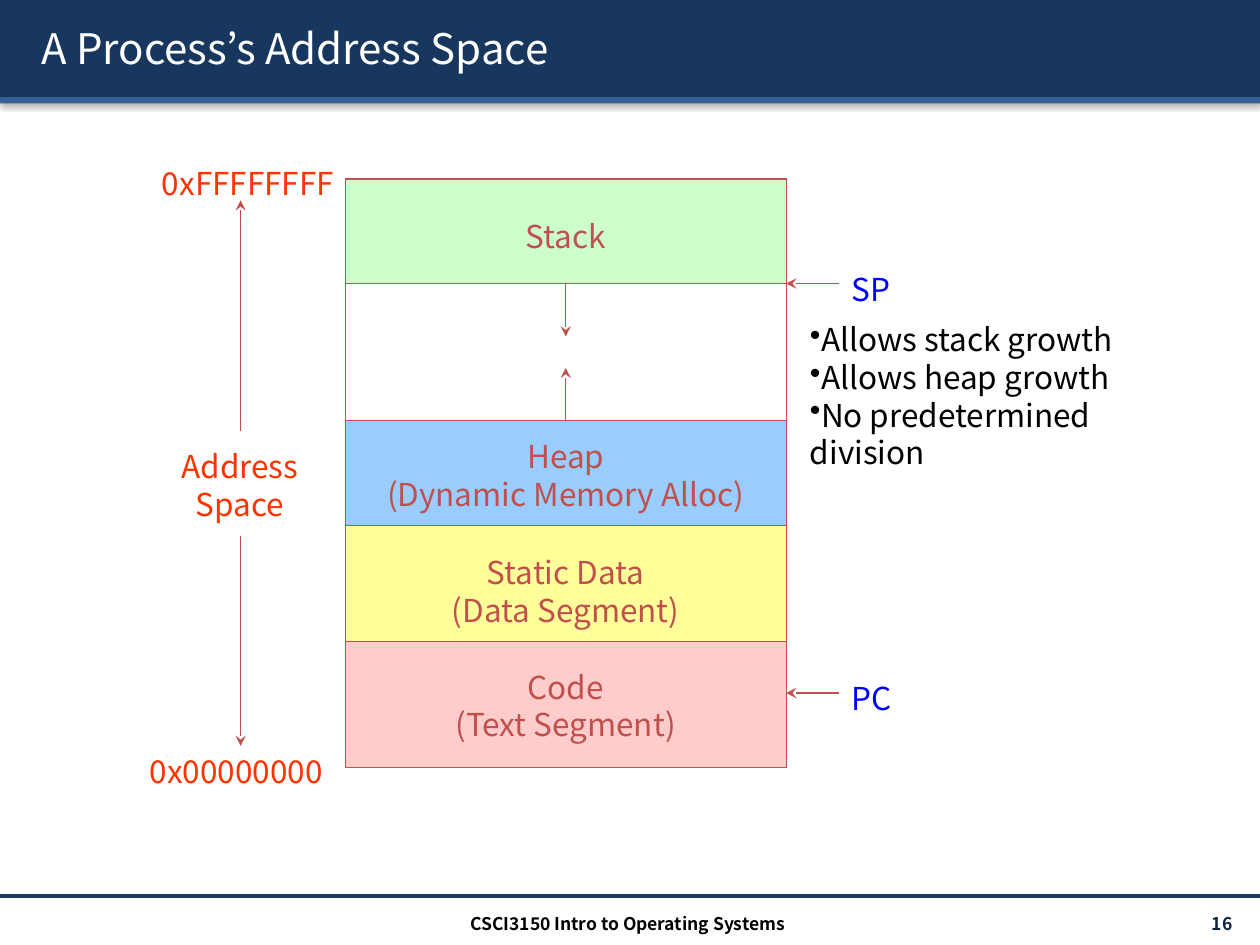
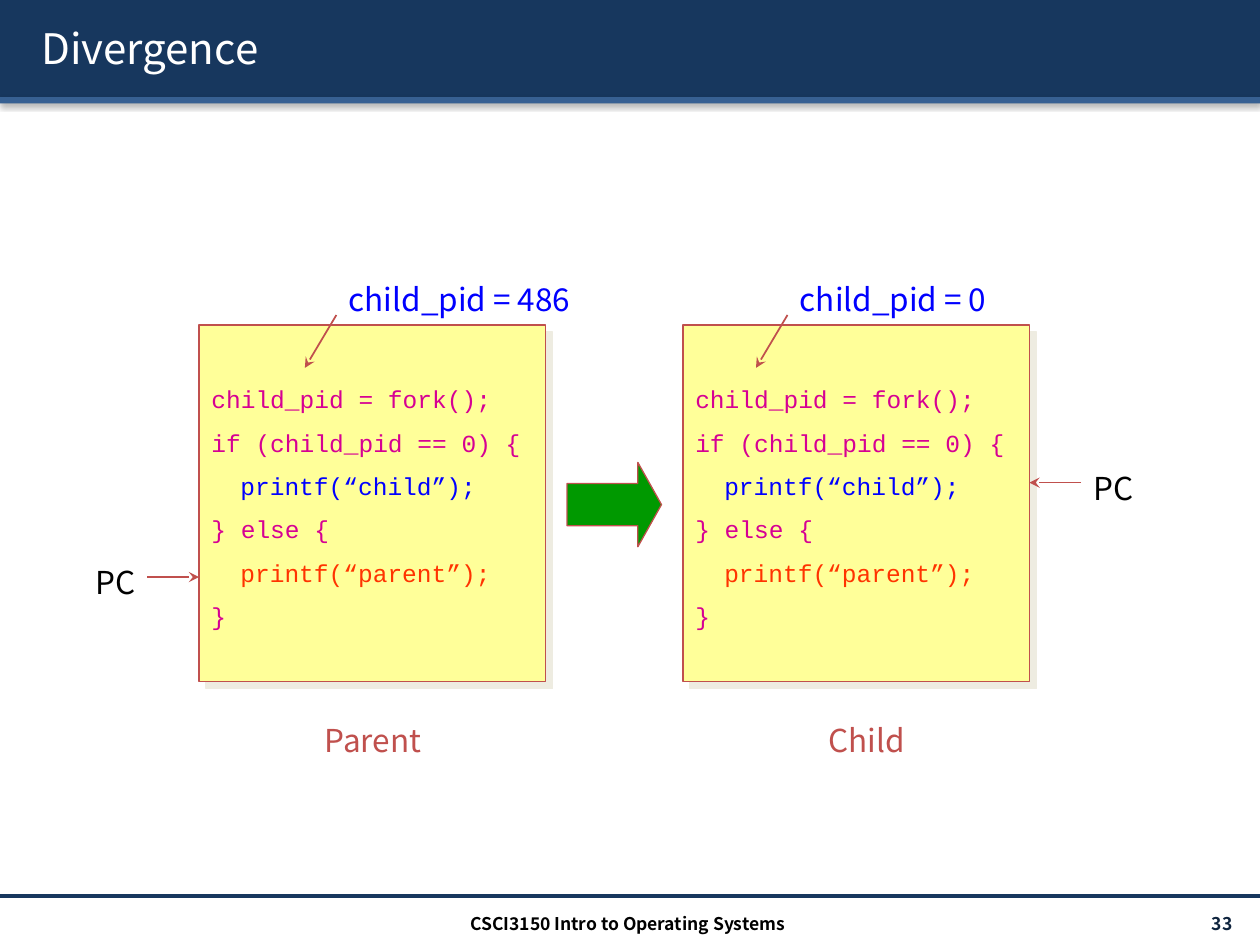
from dataclasses import dataclass

from lxml import etree
from pptx import Presentation
from pptx import util as u
from pptx.dml.color import RGBColor
from pptx.enum import shapes, text
from pptx.oxml.ns import qn


@dataclass(frozen=True)
class Theme:
    font: str = "Noto Sans CJK KR"
    mono: str = "Courier New"
    title_size: int = 24
    body_size: int = 18
    code_size: int = 14
    footer_size: int = 10
    navy: str = "17375E"
    steel: str = "376092"
    number: str = "0F243E"
    white: str = "FFFFFF"
    black: str = "000000"
    brick: str = "C0504D"
    orange: str = "FF3300"
    blue: str = "0000FF"
    magenta: str = "D60093"
    green: str = "009900"
    mint: str = "CCFFCC"
    sky: str = "99CCFF"
    yellow: str = "FFFF99"
    pink: str = "FFCCCC"
    box_shadow: str = "EEECE1"


T = Theme()
LEFT, CENTER, RIGHT = text.PP_ALIGN.LEFT, text.PP_ALIGN.CENTER, text.PP_ALIGN.RIGHT
RECT, ARROW = shapes.MSO_SHAPE.RECTANGLE, shapes.MSO_SHAPE.RIGHT_ARROW

# Content: address space
FOOTER = "CSCI3150 Intro to Operating Systems"
MEMORY_LEFT, MEMORY_TOP, MEMORY_WIDTH, MEMORY_HEIGHT = 2.74, 1.42, 3.5, 4.67
SEGMENTS = [  # top, height, fill, label top, label lines
    (1.42, 0.83, T.mint, 1.67, ["Stack"]),
    (5.09, 1.0, T.pink, 5.25, ["Code", "(Text Segment)"]),
    (4.17, 0.92, T.yellow, 4.34, ["Static Data", "(Data Segment)"]),
    (3.34, 0.83, T.sky, 3.42, ["Heap", "(Dynamic Memory Alloc)"]),
]
ADDRESS_LABELS = [  # box, lines, alignment
    ((0.74, 5.92, 1.92, 0.4), ["0x00000000"], RIGHT),
    ((0.83, 1.25, 1.92, 0.4), ["0xFFFFFFFF"], RIGHT),
    ((1.24, 3.5, 1.33, 0.71), ["Address", "Space"], CENTER),
]
VERTICAL_ARROWS = [  # x, from y, to y
    (4.49, 2.25, 2.67), (4.49, 3.34, 2.92),
    (1.91, 3.42, 1.59), (1.91, 4.25, 5.92),
]
REGISTERS = [("SP", 2.25), ("PC", 5.5)]
BENEFITS = ["Allows stack growth", "Allows heap growth", "No predetermined division"]

# Content: divergence
CODE = [  # line, colour, indent level
    ("child_pid = fork();", T.magenta, 0),
    ("if (child_pid == 0) {", T.magenta, 0),
    ("printf(“child”);", T.blue, 1),
    ("} else {", T.magenta, 0),
    ("printf(“parent”);", T.orange, 1),
    ("}", T.magenta, 0),
]
PROCESSES = [  # left, name, name left, child_pid, PC label left and top, PC arrow
    (1.58, "Parent", 2.25, "child_pid = 486", (0.58, 4.42), (1.17, 4.58, 1.58, 4.58)),
    (5.42, "Child", 6.17, "child_pid = 0", (8.5, 3.67), (8.58, 3.83, 8.17, 3.83)),
]


# Drawing helpers
def inches(box):
    return [u.Inches(n) for n in box]


def rgb(colour):
    return RGBColor.from_string(colour)


def add_shadow(properties, colour, alpha, blur, distance, angle):
    effects = etree.SubElement(properties, qn("a:effectLst"))
    outer = etree.SubElement(
        effects, qn("a:outerShdw"), blurRad=str(u.Pt(blur)), dist=str(u.Pt(distance)),
        dir=str(angle * 60000), algn="tl", rotWithShape="0")
    tint = etree.SubElement(outer, qn("a:srgbClr"), val=colour)
    etree.SubElement(tint, qn("a:alpha"), val=str(alpha * 1000))


def add_block(slide, box, fill=None, line=None, kind=RECT, shadow=None):
    block = slide.shapes.add_shape(kind, *inches(box))
    if fill:
        block.fill.solid()
        block.fill.fore_color.rgb = rgb(fill)
    else:
        block.fill.background()
    if line:
        block.line.color.rgb = rgb(line)
        block.line.width = u.Pt(0.75)
    else:
        block.line.fill.background()
    if shadow:
        add_shadow(block.element.spPr, *shadow)
    else:
        block.shadow.inherit = False
    return block


def add_line(slide, ends, colour=T.brick, width=0.75, arrow=True):
    line = slide.shapes.add_connector(shapes.MSO_CONNECTOR.STRAIGHT, *inches(ends))
    line.line.color.rgb = rgb(colour)
    line.line.width = u.Pt(width)
    if arrow:
        etree.SubElement(line.line._get_or_add_ln(), qn("a:tailEnd"), type="stealth")
    etree.SubElement(line.element.spPr, qn("a:effectLst"))


def style(paragraph, size, colour, font=T.font, bold=False):
    paragraph.font.name = font
    paragraph.font.size = u.Pt(size)
    paragraph.font.bold = bold
    paragraph.font.color.rgb = rgb(colour)


def add_frame(slide, box, lines, anchor=text.MSO_ANCHOR.TOP):
    frame = slide.shapes.add_textbox(*inches(box)).text_frame
    frame.word_wrap = True
    frame.vertical_anchor = anchor
    frame.text = "\n".join(lines)
    return frame


def add_label(slide, box, lines, colour, align=LEFT, bullet=None):
    for paragraph in add_frame(slide, box, lines).paragraphs:
        if bullet:
            properties = paragraph._p.get_or_add_pPr()
            properties.set("marL", "0")
            properties.set("indent", "0")
            etree.SubElement(properties, qn("a:buChar"), char=bullet)
        paragraph.alignment = align
        paragraph.line_spacing = u.Pt(1.2 * T.body_size)
        style(paragraph, T.body_size, colour)


def add_code(slide, box):
    frame = add_frame(slide, box, [line for line, _, _ in CODE])
    for row, (paragraph, (_, colour, level)) in enumerate(zip(frame.paragraphs, CODE)):
        paragraph.space_before = u.Pt(8 if row else 3)
        if level:
            paragraph._p.get_or_add_pPr().set("marL", str(u.Inches(0.23 * level)))
        style(paragraph, T.code_size, colour, T.mono)


# Shared bands, title and footer
def add_page(deck, title, number):
    slide = deck.slides.add_slide(deck.slide_layouts[6])
    for top, height, fill in [(0, 0.77, T.navy), (0.77, 0.05, T.steel)]:
        add_block(slide, (0, top, 10, height), fill, shadow=(T.black, 38, 3.1, 1.6, 90))
    add_line(slide, (0, 7.11, 10, 7.11), T.navy, 2, arrow=False)

    middle = text.MSO_ANCHOR.MIDDLE
    heading = add_frame(slide, (0.23, 0.06, 9.61, 0.64), [title], middle).paragraphs[0]
    style(heading, T.title_size, T.white)
    add_shadow(heading.runs[0]._r.get_or_add_rPr(), T.black, 100, 2, 2, 45)

    for box, words, align, colour in [
        ((8.71, 7.21, 1.17, 0.24), str(number), RIGHT, T.number),
        ((3.32, 7.21, 3.32, 0.24), FOOTER, CENTER, T.black),
    ]:
        footer = add_frame(slide, box, [words], middle).paragraphs[0]
        footer.alignment = align
        style(footer, T.footer_size, colour, bold=True)
    return slide


def build_address_space(deck):
    slide = add_page(deck, "A Process’s Address Space", 16)

    # Memory column
    add_block(slide, (MEMORY_LEFT, MEMORY_TOP, MEMORY_WIDTH, MEMORY_HEIGHT), line=T.brick)
    for top, height, fill, label_top, lines in SEGMENTS:
        add_block(slide, (MEMORY_LEFT, top, MEMORY_WIDTH, height), fill, T.brick)
        label_height = 0.1 + 0.3 * len(lines)
        add_label(slide, (MEMORY_LEFT, label_top, MEMORY_WIDTH, label_height),
                  lines, T.brick, CENTER)

    # Address range and growth arrows
    for box, lines, align in ADDRESS_LABELS:
        add_label(slide, box, lines, T.orange, align)
    for x, start, end in VERTICAL_ARROWS:
        add_line(slide, (x, start, x, end))

    # Registers and benefits
    memory_right = MEMORY_LEFT + MEMORY_WIDTH
    for register, y in REGISTERS:
        add_label(slide, (6.66, y - 0.16, 1, 0.4), [register], T.blue)
        add_line(slide, (6.66, y, memory_right, y))
    add_label(slide, (6.33, 2.49, 3.3, 1.01), BENEFITS, T.black, bullet="•")


def build_divergence(deck):
    slide = add_page(deck, "Divergence", 33)

    # Each process with its code, name, variable and program counter
    for left, name, name_left, variable, pc_corner, pc_arrow in PROCESSES:
        add_block(slide, (left, 2.58, 2.75, 2.83), T.yellow, T.brick,
                  shadow=(T.box_shadow, 100, 0, 5.7, 45))
        add_code(slide, (left, 3, 2.67, 2.08))
        add_label(slide, (name_left, 5.67, 1.42, 0.37), [name], T.brick, CENTER)
        add_label(slide, (*pc_corner, 0.67, 0.37), ["PC"], T.black, CENTER)
        add_line(slide, pc_arrow, width=1)
        variable_left = name_left + (0.42 if name == "Parent" else 0.08)
        add_label(slide, (variable_left, 2.17, 2.06, 0.4), [variable], T.blue)
        add_line(slide, (variable_left, 2.5, variable_left - 0.25, 2.92), width=1)

    # Arrow from parent to child
    fork = add_block(slide, (4.5, 3.67, 0.75, 0.67), T.green, T.brick, ARROW)
    fork.adjustments[0] = 0.5
    fork.adjustments[1] = 0.28


def main():
    deck = Presentation()
    deck.slide_width, deck.slide_height = u.Inches(10), u.Inches(7.5)
    build_address_space(deck)
    build_divergence(deck)
    deck.save("out.pptx")


if __name__ == "__main__":
    main()
